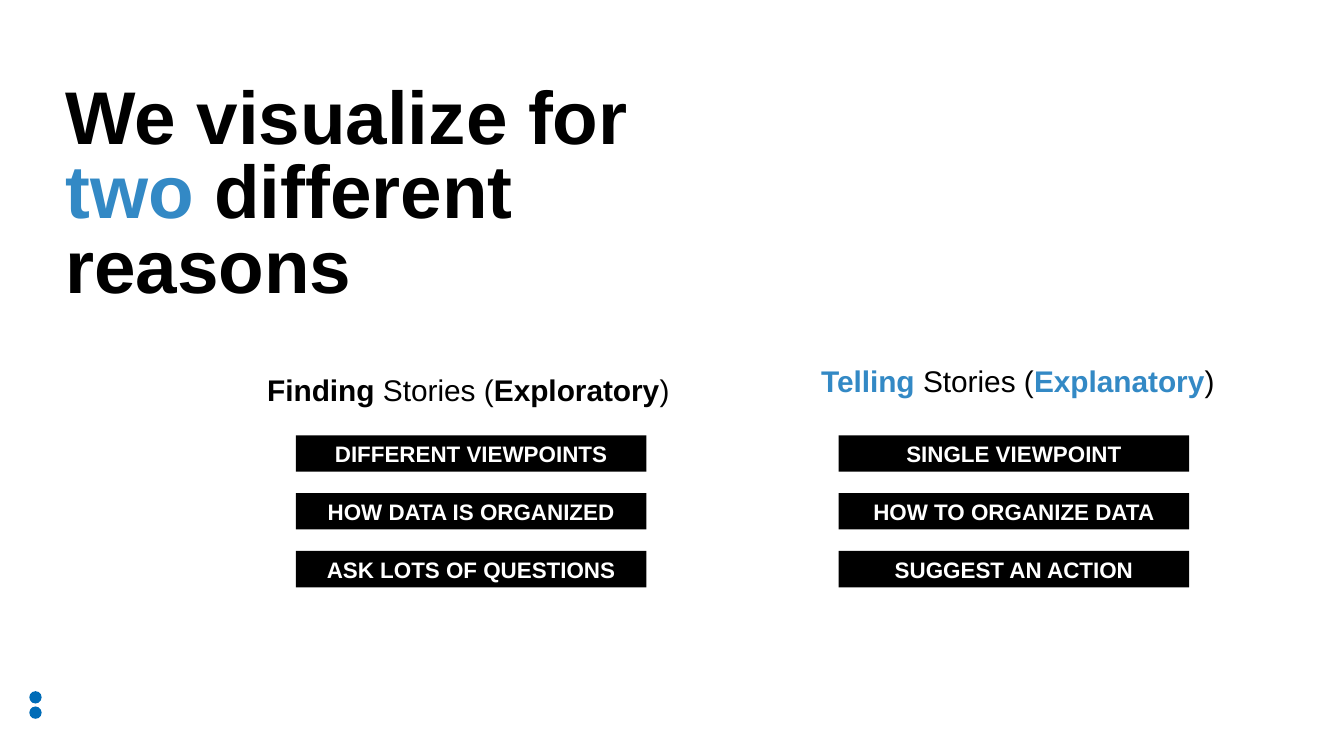
"""Build a slide contrasting exploratory and explanatory visualization."""
from pptx import Presentation
from pptx.dml.color import RGBColor
from pptx.enum.shapes import MSO_SHAPE
from pptx.enum.text import MSO_ANCHOR, PP_ALIGN
from pptx.util import Pt

RECTANGLE, OVAL = MSO_SHAPE.RECTANGLE, MSO_SHAPE.OVAL
MIDDLE, BOTTOM = MSO_ANCHOR.MIDDLE, MSO_ANCHOR.BOTTOM
CENTER = PP_ALIGN.CENTER

COLORS = {"black": "000000", "white": "FFFFFF", "accent": "3389C5", "dot": "006CB7"}
FONT = "Arial"

TITLE = [
    ("We visualize for ", "black", True),
    ("two", "accent", True),
    (" different reasons", "black", True),
]
REASONS = [
    {
        "heading": [
            ("Finding", "black", True),
            (" Stories (", "black", False),
            ("Exploratory", "black", True),
            (")", "black", False),
        ],
        "heading_box": (136.1, 195.8, 232.6, 26),
        "left": 158.5,
        "traits": ["DIFFERENT VIEWPOINTS", "HOW DATA IS ORGANIZED", "ASK LOTS OF QUESTIONS"],
    },
    {
        "heading": [
            ("Telling", "accent", True),
            (" Stories (", "black", False),
            ("Explanatory", "accent", True),
            (")", "black", False),
        ],
        "heading_box": (432.8, 191, 232.6, 29.5),
        "left": 449.3,
        "traits": ["SINGLE VIEWPOINT", "HOW TO ORGANIZE DATA", "SUGGEST AN ACTION"],
    },
]
TRAIT_TOP, TRAIT_PITCH, TRAIT_WIDTH, TRAIT_HEIGHT = 233.2, 31, 187.8, 19.5
DOT_LEFT, DOT_TOP, DOT_PITCH, DOT_SIZE = 15.7, 370.3, 8.2, 6.6


def color(name):
    return RGBColor.from_string(COLORS[name])


def add_runs(paragraph, runs, size):
    for text, color_name, bold in runs:
        run = paragraph.add_run()
        run.text = text
        run.font.name = FONT
        run.font.size = Pt(size)
        run.font.bold = bold
        run.font.color.rgb = color(color_name)


def add_text(slide, box, runs, size):
    frame = slide.shapes.add_textbox(*map(Pt, box)).text_frame
    frame.word_wrap = True
    add_runs(frame.paragraphs[0], runs, size)
    return frame


def add_filled(slide, kind, box, fill):
    shape = slide.shapes.add_shape(kind, *map(Pt, box))
    shape.shadow.inherit = False
    shape.fill.solid()
    shape.fill.fore_color.rgb = color(fill)
    shape.line.fill.background()
    return shape


def add_trait(slide, box, trait):
    frame = add_filled(slide, RECTANGLE, box, "black").text_frame
    frame.word_wrap = True
    frame.vertical_anchor = MIDDLE
    frame.paragraphs[0].alignment = CENTER
    add_runs(frame.paragraphs[0], [(trait, "white", True)], 12)


def main():
    deck = Presentation()
    deck.slide_width, deck.slide_height = Pt(720), Pt(405)
    slide = deck.slides.add_slide(deck.slide_layouts[6])

    for row in range(2):
        dot_box = (DOT_LEFT, DOT_TOP + row * DOT_PITCH, DOT_SIZE, DOT_SIZE)
        add_filled(slide, OVAL, dot_box, "dot")

    title = add_text(slide, (35, 6, 333, 159), TITLE, 40)
    title.margin_left = title.margin_right = title.margin_top = title.margin_bottom = 0
    title.vertical_anchor = BOTTOM
    title.paragraphs[0].line_spacing = 0.83

    for reason in REASONS:
        add_text(slide, reason["heading_box"], reason["heading"], 16)
        for row, trait in enumerate(reason["traits"]):
            top = TRAIT_TOP + row * TRAIT_PITCH
            add_trait(slide, (reason["left"], top, TRAIT_WIDTH, TRAIT_HEIGHT), trait)

    deck.save("out.pptx")


if __name__ == "__main__":
    main()
